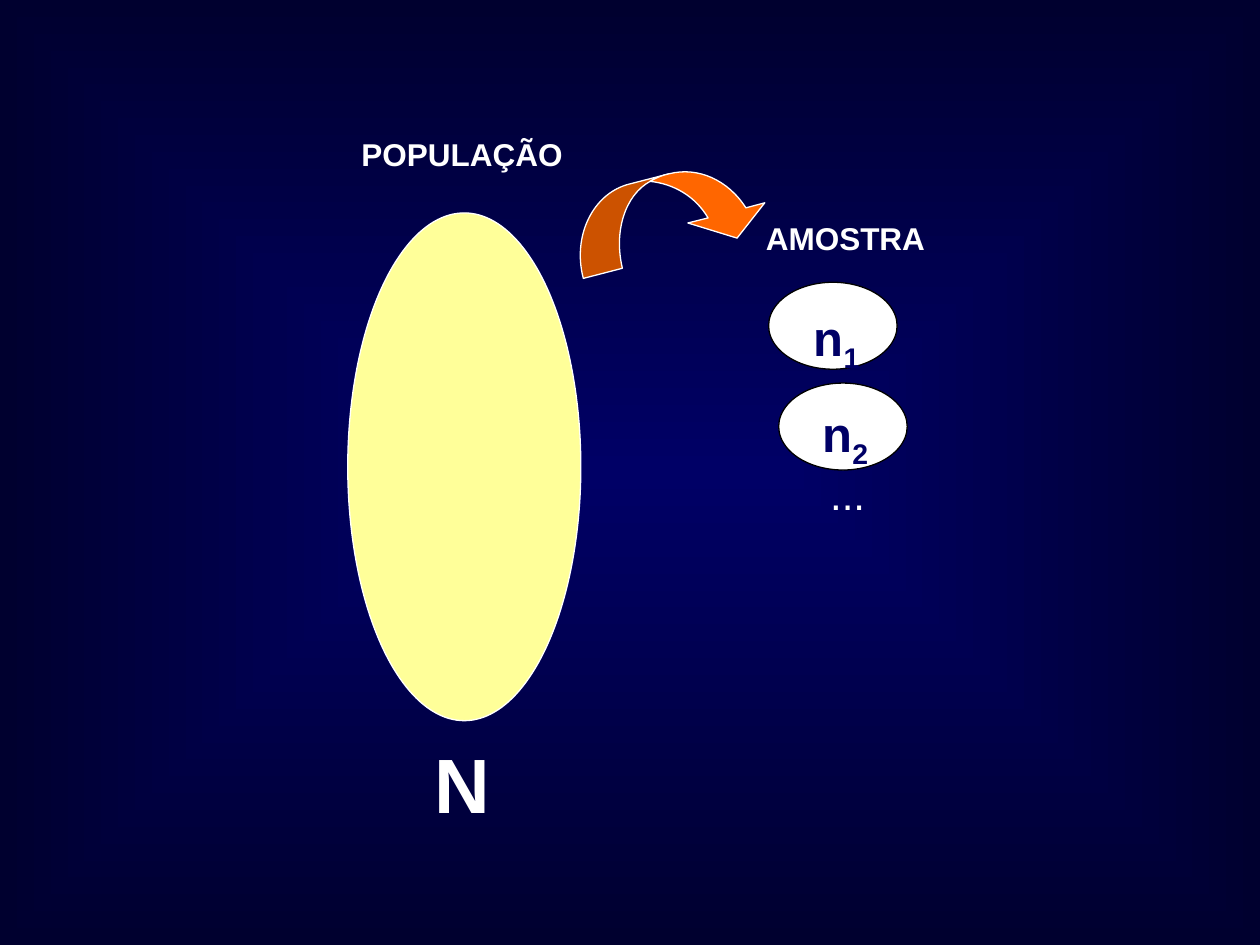
import dataclasses
import itertools

import pptx
import pptx.dml.color
import pptx.enum.shapes
import pptx.enum.text
import pptx.oxml
import pptx.util
from pptx.util import Inches

NAVY, WHITE, BLACK = "000066", "FFFFFF", "000000"
Point = tuple[float, float]
Segment = list[Point]  # one point for a line, three for a Bézier curve


@dataclasses.dataclass
class Label:
    text: str
    left: float
    top: float
    width: float
    height: float
    size: int
    color: str = WHITE
    bold: bool = True
    subscript: str = ""


@dataclasses.dataclass
class Sample:
    left: float
    top: float
    label: Label


LABELS = [
    Label("N", 3.35, 5.8, 0.64, 0.84, 44),
    Label("...", 6.49, 3.67, 0.48, 0.5, 24, bold=False),
    Label("POPULAÇÃO", 2.77, 1.02, 1.82, 0.4, 18),
    Label("AMOSTRA", 5.98, 1.69, 1.49, 0.4, 18),
]
SAMPLES = [
    Sample(6.18, 3.04, Label("n", 6.43, 3.15, 0.56, 0.63, 28, NAVY, subscript="2")),
    Sample(6.1, 2.24, Label("n", 6.36, 2.39, 0.56, 0.63, 28, NAVY, subscript="1")),
]


def rgb(color: str) -> pptx.dml.color.RGBColor:
    return pptx.dml.color.RGBColor.from_string(color)


def paint(shape, fill: str, line: str) -> None:
    shape.shadow.inherit = False
    shape.fill.solid()
    shape.fill.fore_color.rgb = rgb(fill)
    shape.line.color.rgb = rgb(line)
    shape.line.width = pptx.util.Pt(0.75)


def add_ellipse(shapes, left: float, top: float, width: float, height: float,
                fill: str, line: str) -> None:
    ellipse = shapes.add_shape(pptx.enum.shapes.MSO_SHAPE.OVAL, Inches(left),
                               Inches(top), Inches(width), Inches(height))
    paint(ellipse, fill, line)


def add_label(shapes, label: Label) -> None:
    box = shapes.add_textbox(Inches(label.left), Inches(label.top),
                             Inches(label.width), Inches(label.height))
    box.text_frame.word_wrap = False
    box.text_frame.auto_size = pptx.enum.text.MSO_AUTO_SIZE.SHAPE_TO_FIT_TEXT
    para = box.text_frame.paragraphs[0]
    for text in filter(None, (label.text, label.subscript)):
        span = para.add_run()
        span.text = text
        span.font.name = "Arial"
        span.font.size = pptx.util.Pt(label.size)
        span.font.bold = label.bold
        span.font.color.rgb = rgb(label.color)
    if label.subscript:
        span.font._element.set("baseline", "-25000")


def add_outline(shapes, start: Point, segments: list[Segment], fill: str) -> None:
    points = [(Inches(x), Inches(y)) for x, y in itertools.chain(*segments)]
    builder = shapes.build_freeform(Inches(start[0]), Inches(start[1]))
    builder.add_line_segments(points, close=True)
    outline = builder.convert_to_shape()
    paint(outline, fill, WHITE)

    # Join each run of three points into one curve
    lines = iter(list(outline._element.iter(pptx.oxml.ns.qn("a:lnTo"))))
    for segment in segments:
        first, *others = itertools.islice(lines, len(segment))
        if others:
            bezier = pptx.oxml.parse_xml(
                f'<a:cubicBezTo {pptx.oxml.ns.nsdecls("a")}/>')
            first.addprevious(bezier)
            for line in (first, *others):
                bezier.append(line[0])
                line.getparent().remove(line)


def set_background(page) -> None:
    fill = page.background.fill
    fill.gradient()
    for stop, position, color in zip(fill.gradient_stops, (0, 1), (NAVY, "00002F")):
        stop.position = position
        stop.color.rgb = rgb(color)
    gradient = page.background._cSld.bg.bgPr.find(pptx.oxml.ns.qn("a:gradFill"))
    linear = gradient.find(pptx.oxml.ns.qn("a:lin"))
    gradient.replace(linear, pptx.oxml.parse_xml(
        f'<a:path {pptx.oxml.ns.nsdecls("a")} path="rect">'
        '<a:fillToRect l="50000" t="50000" r="50000" b="50000"/></a:path>'))


def add_curved_arrow(shapes) -> None:
    fold, crest = (5.16, 1.44), (5.31, 1.38)
    tail = [
        [(4.54, 1.87), (4.71, 1.53), (5, 1.46)],
        [crest],
        [(5.26, 1.39), (5.21, 1.41), fold],
        [(4.96, 1.55), (4.87, 1.84), (4.94, 2.13)],
    ]
    head = [
        [(5.21, 1.41), (5.26, 1.39), crest],
        [(5.54, 1.32), (5.78, 1.43), (5.92, 1.65)],
        [(6.07, 1.61)],
        [(5.85, 1.89)],
        [(5.46, 1.77)],
        [(5.62, 1.73)],
        [(5.52, 1.56), (5.35, 1.46), fold],
    ]
    add_outline(shapes, (4.63, 2.21), tail, "CC5200")
    add_outline(shapes, fold, head, "FF6600")


def main() -> None:
    deck = pptx.Presentation()
    deck.slide_width, deck.slide_height = Inches(10), Inches(7.5)
    page = deck.slides.add_slide(deck.slide_layouts[6])
    set_background(page)

    # Population
    add_ellipse(page.shapes, 2.76, 1.69, 1.85, 4.03, "FFFF99", WHITE)

    # Samples, each an ellipse grouped with its label
    for sample in SAMPLES:
        group = page.shapes.add_group_shape()
        add_ellipse(group.shapes, sample.left, sample.top, 1.02, 0.69, WHITE, BLACK)
        add_label(group.shapes, sample.label)

    # Captions
    for label in LABELS:
        add_label(page.shapes, label)

    # Arrow from population to samples
    add_curved_arrow(page.shapes)
    deck.save("out.pptx")


if __name__ == "__main__":
    main()
